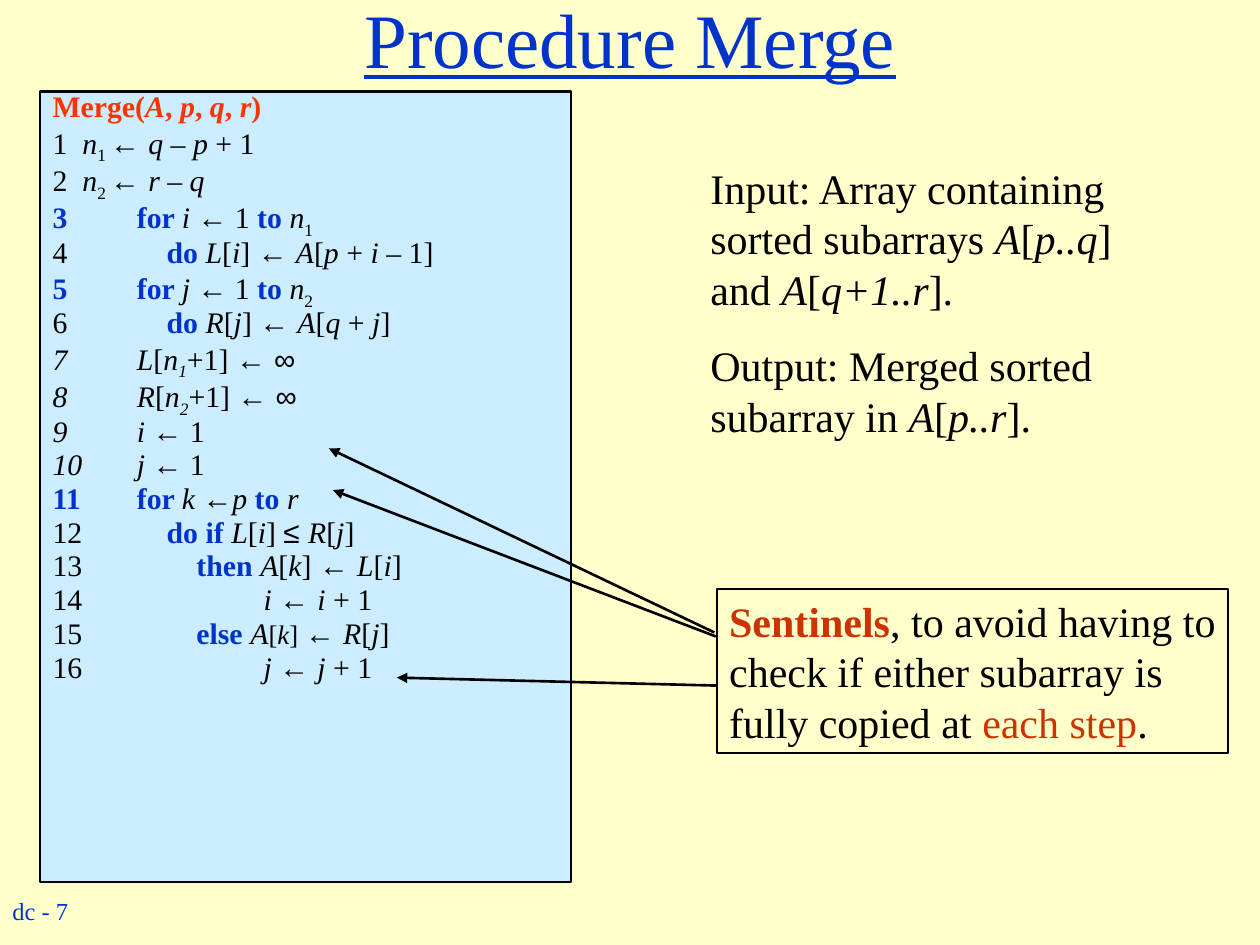
from lxml.etree import SubElement
from pptx import Presentation
from pptx.dml.color import RGBColor
from pptx.enum.shapes import MSO_CONNECTOR, MSO_SHAPE
from pptx.enum.text import MSO_ANCHOR, MSO_AUTO_SIZE, PP_ALIGN
from pptx.oxml.ns import qn
from pptx.util import Cm, Pt

CREAM = RGBColor(0xFF, 0xFF, 0xCC)
PALE_BLUE = RGBColor(0xCC, 0xEC, 0xFF)
BLUE = RGBColor(0x00, 0x33, 0xCC)
ORANGE = RGBColor(0xFF, 0x33, 0x00)
RUST = RGBColor(0xCC, 0x33, 0x00)
BLACK = RGBColor(0x00, 0x00, 0x00)

# Style letters of a run: b bold, i italic, s subscript, u underlined,
# a Arial, m smaller; k, h and r choose a colour
RUN_COLOURS = {"k": BLUE, "h": ORANGE, "r": RUST}
FIRST_NUMBERED = 3
ARROW = ("← ", "a")


def run_colour(style):
    return next((RUN_COLOURS[c] for c in style if c in RUN_COLOURS), BLACK)


def indexed(array, index):
    return [(array, "i"), ("[", ""), (index, "i"), ("] ", "")]


def loop(counter, limit):
    return [("for ", "kb"), (counter + " ", "i"), ("←", "a"), (" 1 ", ""),
            ("to ", "kb"), ("n", "i"), (limit, "s")]


def sentinel(array, length):
    return [(array, "i"), ("[", ""), ("n", "i"), (length, "is"), ("+1] ", ""), ("← ∞", "a")]


def start_at_one(counter):
    return [(counter + " ", "i"), ("←", "a"), (" 1", "")]


def advance(counter):
    return [(" " * 17, ""), (counter + " ", "i"), ARROW, (counter, "i"), (" + 1", "")]


HEADING = [("Merge(", "hb"), ("A", "hbi"), (", ", "hb"), ("p", "hbi"), (", ", "hb"),
           ("q", "hbi"), (", ", "hb"), ("r", "hbi"), (")", "hb")]
LENGTHS = [
    [("1  ", ""), ("n", "i"), ("1 ", "s"), ARROW, ("q ", "i"), ("– ", ""), ("p ", "i"), ("+ 1", "")],
    [("2  ", ""), ("n", "i"), ("2 ", "s"), ARROW, ("r ", "i"), ("– ", ""), ("q", "i")],
]
NUMBERED = [
    loop("i", "1"),
    [("    ", ""), ("do ", "kb"), *indexed("L", "i"), ARROW, ("A", "i"), ("[", ""),
     ("p ", "i"), ("+ ", ""), ("i ", "i"), ("– 1]", "")],
    loop("j", "2"),
    [("    ", ""), ("do ", "kb"), *indexed("R", "j"), ARROW, ("A", "i"), ("[", ""),
     ("q ", "i"), ("+ ", ""), ("j", "i"), ("]", "")],
    sentinel("L", "1"),
    sentinel("R", "2"),
    start_at_one("i"),
    start_at_one("j"),
    [("for ", "kb"), ("k ", "i"), ("←", "a"), ("p ", "i"), ("to ", "kb"), ("r", "i")],
    [("    ", ""), ("do if ", "kb"), *indexed("L", "i"), ("≤ ", "a"),
     ("R", "i"), ("[", ""), ("j", "i"), ("]", "")],
    [("        ", ""), ("then ", "kb"), *indexed("A", "k"), ARROW,
     ("L", "i"), ("[", ""), ("i", "i"), ("]", "")],
    advance("i"),
    [("        ", ""), ("else ", "kb"), ("A", "i"), ("[", "m"), ("k", "im"), ("] ", "m"), ARROW,
     ("R", "i"), ("[", ""), ("j", "i"), ("]", "")],
    advance("j"),
]
CONTRACT = [
    [("Input: Array containing sorted subarrays ", ""), ("A", "i"), ("[", ""), ("p..q", "i"),
     ("] and ", ""), ("A", "i"), ("[", ""), ("q+1..r", "i"), ("].", "")],
    [("Output: Merged sorted subarray in ", ""), ("A", "i"), ("[", ""), ("p..r", "i"), ("].", "")],
]
SENTINEL_NOTE = [
    [("Sentinels", "rb"), (", to avoid having to", "")],
    [("check if either subarray is", "")],
    [("fully copied at ", ""), ("each step", "r"), (".", "")],
]


class SlideBuilder:
    font = "Times New Roman"
    symbol_font = "Arial"

    def __init__(self, slide):
        self.slide = slide
        slide.background.fill.solid()
        slide.background.fill.fore_color.rgb = CREAM

    def text(self, box, paragraphs, size, gap=0):
        area = self.slide.shapes.add_textbox(*map(Cm, box))
        self.fill_text(area.text_frame, paragraphs, size, gap)
        return area.text_frame

    def panel(self, box, line_width, fill=None):
        panel = self.slide.shapes.add_shape(MSO_SHAPE.RECTANGLE, *map(Cm, box))
        panel.shadow.inherit = False
        if fill is None:
            panel.fill.background()
        else:
            panel.fill.solid()
            panel.fill.fore_color.rgb = fill
        panel.line.color.rgb = BLACK
        panel.line.width = Pt(line_width)
        panel.text_frame.vertical_anchor = MSO_ANCHOR.TOP
        return panel.text_frame

    def fill_text(self, frame, paragraphs, size, gap=0):
        frame.word_wrap = True
        for position, runs in enumerate(paragraphs):
            paragraph = frame.add_paragraph() if position else frame.paragraphs[0]
            paragraph.alignment = PP_ALIGN.LEFT
            if position and gap:
                paragraph.space_before = Pt(gap)
            for words, style in runs:
                self.run(paragraph, words, style, size)

    def run(self, paragraph, words, style, size):
        run = paragraph.add_run()
        run.text = words
        font = run.font
        font.name = self.symbol_font if "a" in style else self.font
        font.size = Pt(size * 0.9 if "m" in style else size)
        font.bold = "b" in style
        font.italic = "i" in style
        font.underline = "u" in style
        font.color.rgb = run_colour(style)
        if "s" in style:
            run._r.get_or_add_rPr().set("baseline", "-25000")

    def number(self, paragraph, colour):
        properties = paragraph._p.get_or_add_pPr()
        properties.set("marL", str(Cm(1.7)))
        properties.set("indent", str(Cm(-1.7)))
        number_colour = SubElement(properties, qn("a:buClr"))
        SubElement(number_colour, qn("a:srgbClr"), val=str(colour))
        SubElement(properties, qn("a:buAutoNum"), type="arabicPlain", startAt=str(FIRST_NUMBERED))

    def arrow(self, start, end):
        arrow = self.slide.shapes.add_connector(MSO_CONNECTOR.STRAIGHT, *map(Cm, start + end))
        arrow.line.color.rgb = BLACK
        arrow.line.width = Pt(1.5)
        SubElement(arrow.line._get_or_add_ln(), qn("a:tailEnd"), type="triangle")
        SubElement(arrow._element.spPr, qn("a:effectLst"))


def main():
    deck = Presentation()
    deck.slide_width, deck.slide_height = Cm(25.4), Cm(19.05)
    page = SlideBuilder(deck.slides.add_slide(deck.slide_layouts[6]))

    # Footer and title
    page.text((0, 17.93, 3.45, 0.86), [[("dc - 7", "k")]], 14)
    title = page.text((0, -0.5, 25.4, 2.54), [[("Procedure Merge", "ku")]], 44)
    title.vertical_anchor = MSO_ANCHOR.MIDDLE
    title.paragraphs[0].alignment = PP_ALIGN.CENTER

    # Pseudocode, numbered by the list from the first loop on
    code = page.panel((0.81, 1.85, 10.7, 15.93), 1.5, PALE_BLUE)
    page.fill_text(code, [HEADING, *LENGTHS, *NUMBERED], 17, gap=5)
    for paragraph in code.paragraphs:
        paragraph.line_spacing = 0.7
    for paragraph, runs in zip(code.paragraphs[1 + len(LENGTHS):], NUMBERED):
        page.number(paragraph, run_colour(runs[0][1]))

    # Note on sentinels with its arrows
    note = page.panel((14.45, 11.88, 10.31, 3.3), 1)
    page.fill_text(note, SENTINEL_NOTE, 24)
    note.word_wrap = False
    note.auto_size = MSO_AUTO_SIZE.SHAPE_TO_FIT_TEXT
    page.arrow((14.4, 12.75), (6.63, 9.04))
    page.arrow((14.43, 12.83), (6.71, 9.88))
    page.arrow((14.43, 13.82), (8, 13.66))

    # Input and output
    page.text((14.07, 3.15, 9.42, 5.87), CONTRACT, 24, gap=15)

    deck.save("out.pptx")


if __name__ == "__main__":
    main()
